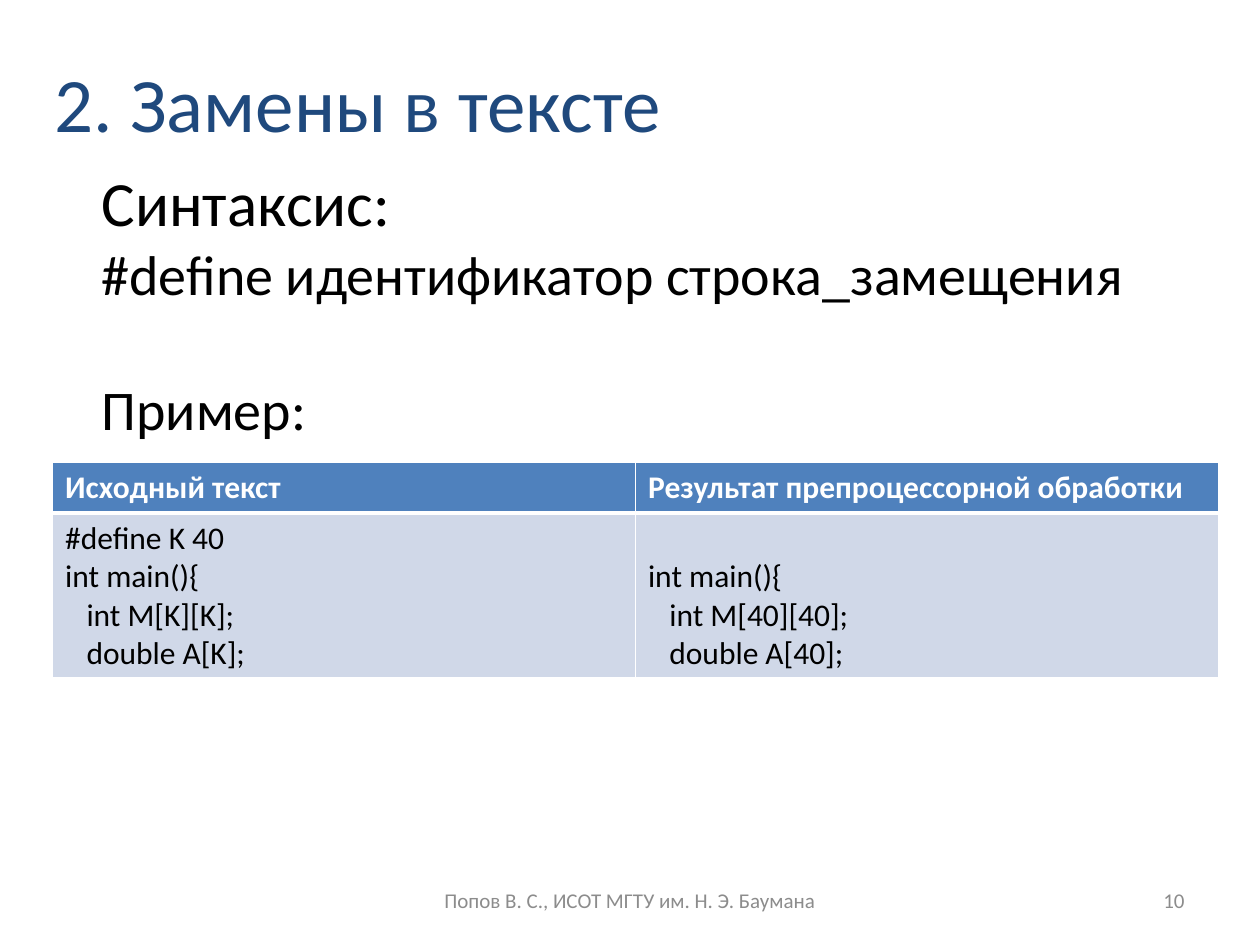
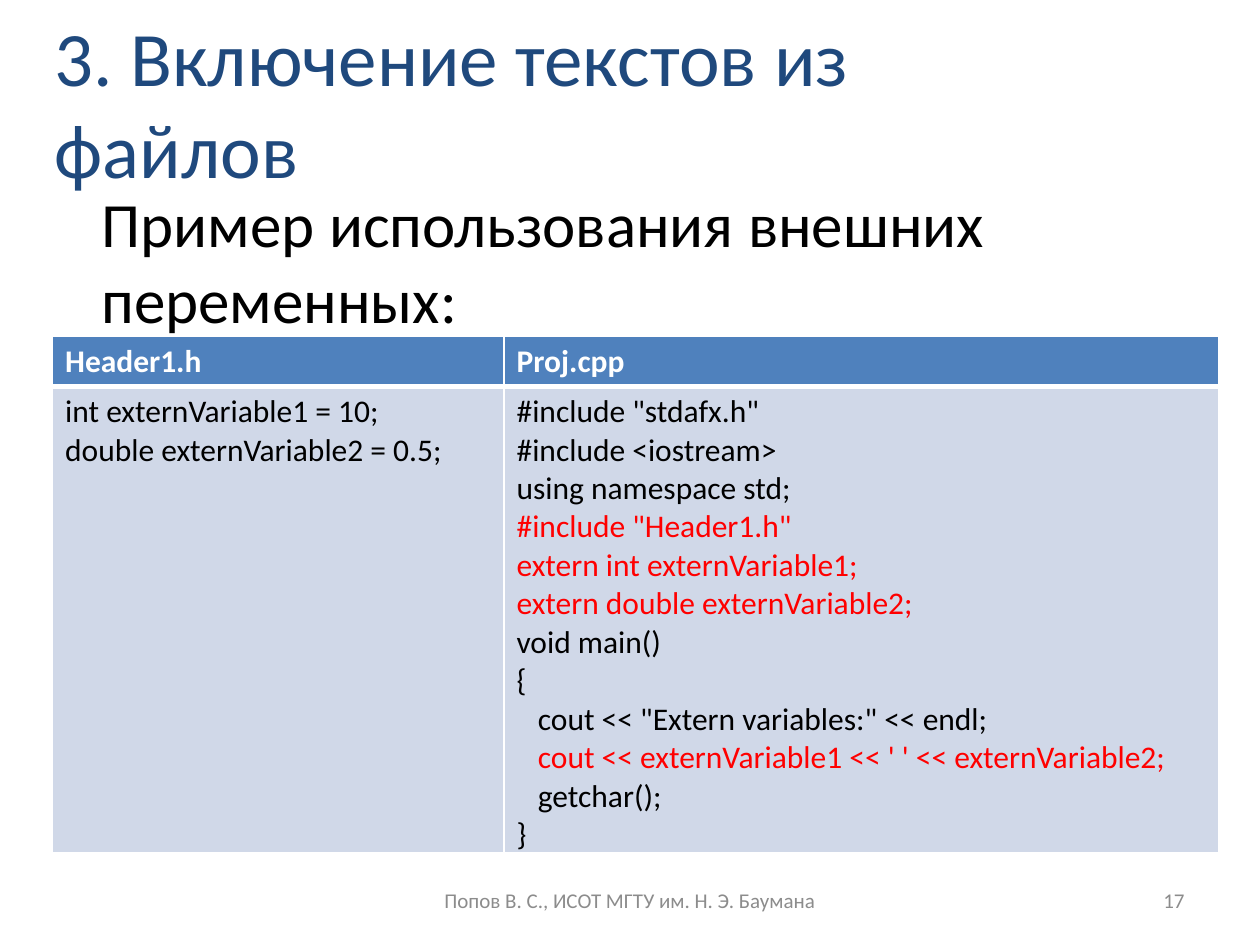
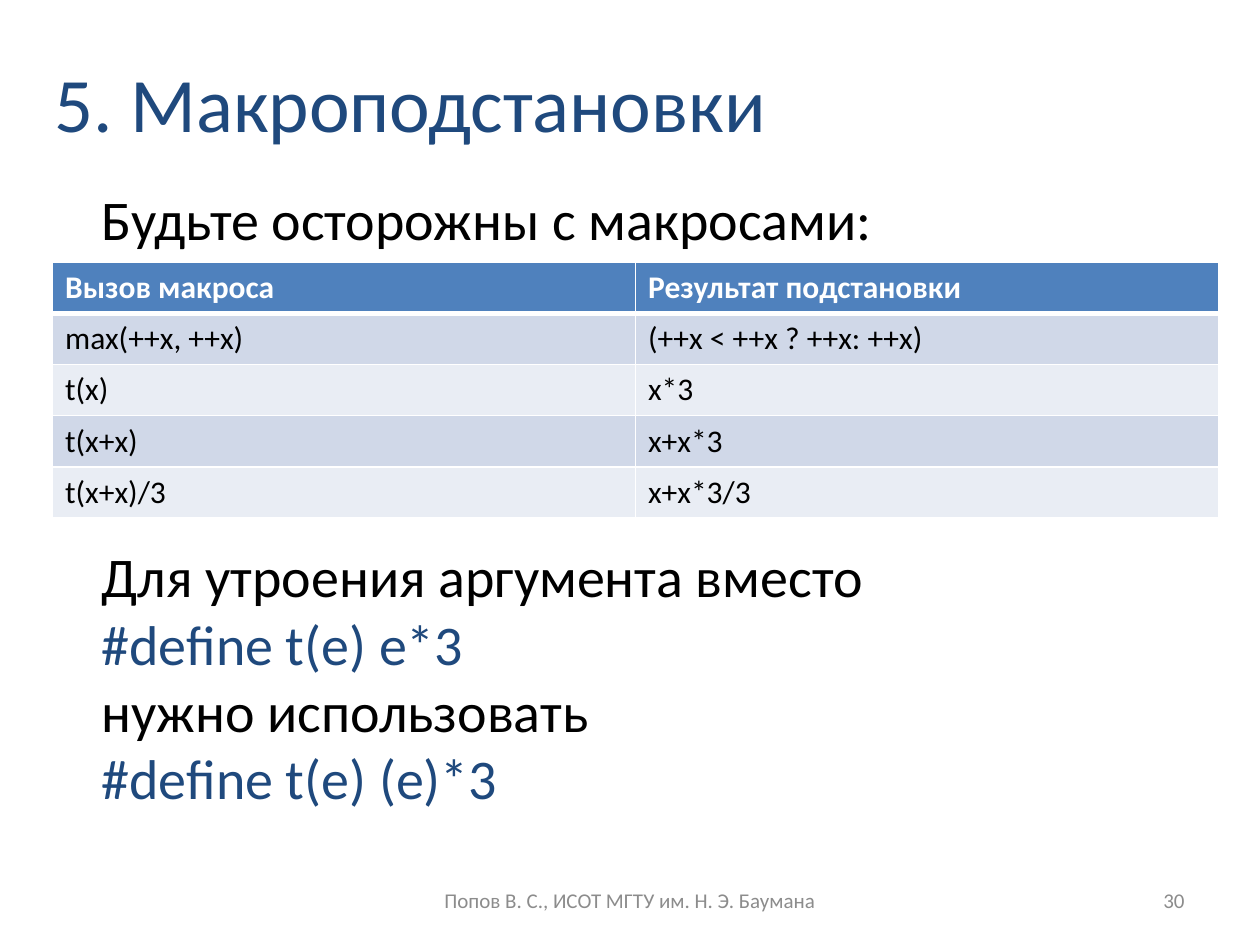
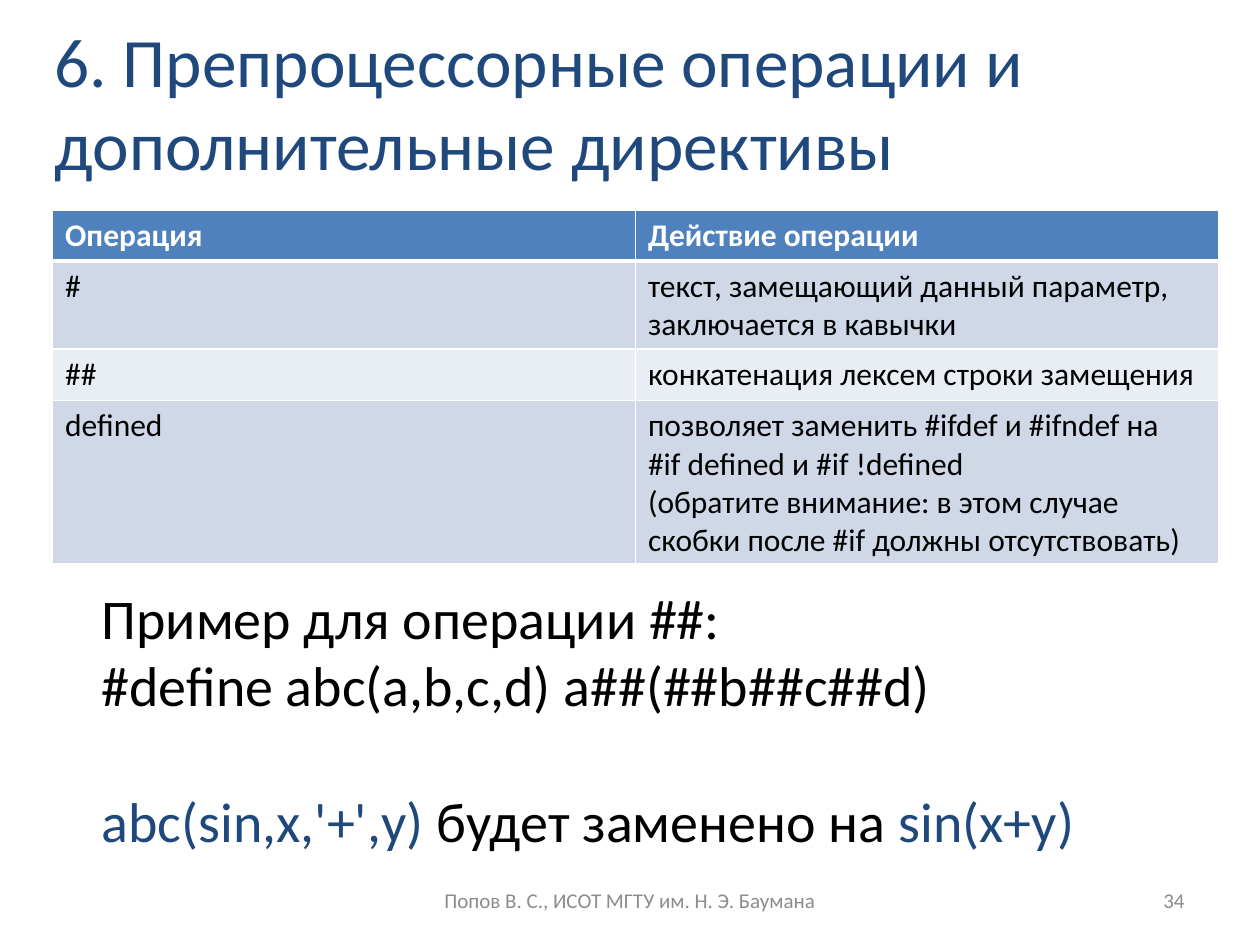
from dataclasses import dataclass
from lxml import etree
from pptx import Presentation
from pptx import util as u
from pptx.dml.color import RGBColor
from pptx.enum import text
from pptx.oxml import ns

COLOURS = {
    "heading": "1F497D", "body": "000000", "footer": "8C8C8C", "accent": "FF0000",
    "header": "4F81BD", "white": "FFFFFF", "odd": "D0D8E8", "even": "E9EDF4",
}
FONT = "Calibri"
FOOTER = "Попов В. С., ИСОТ МГТУ им. Н. Э. Баумана"
TABLE_LEFT, TABLE_WIDTH, ROW_HEIGHT = 1.06, 23.5, 1.03
BODY_INDENT, CODE_INDENT = 0.95, 0.43
TABLE_TEXT = 18
TABLE_LINE = 22


@dataclass
class Line:
    words: str
    colour: str = "body"
    size: float = 32
    indent: float = 0
    before: float = 0


def rgb(name):
    return RGBColor.from_string(COLOURS[name])


def style(font, size, colour, bold=False):
    font.name = FONT
    font.size = u.Pt(size)
    font.bold = bold
    font.color.rgb = rgb(colour)


def write(frame, lines, align=text.PP_ALIGN.LEFT, bold=False):
    for index, line in enumerate(lines):
        para = frame.paragraphs[0] if index == 0 else frame.add_paragraph()
        para.alignment = align
        if line.indent:
            para._p.get_or_add_pPr().set("marL", str(u.Cm(line.indent)))
        if line.before:
            para.space_before = u.Pt(line.before)
        style(para.font, line.size, line.colour, bold)
        if isinstance(line.words, str):
            para.text = line.words
            continue
        for words, colour in line.words:
            span = para.add_run()
            span.text = words
            span.font.color.rgb = rgb(colour)


def add_text(page, left, top, width, height, lines, align=text.PP_ALIGN.LEFT,
             anchor=text.MSO_ANCHOR.TOP):
    box = page.shapes.add_textbox(u.Cm(left), u.Cm(top), u.Cm(width), u.Cm(height))
    box.text_frame.word_wrap = True
    box.text_frame.vertical_anchor = anchor
    write(box.text_frame, lines, align)


def add_body(page, top, height, lines):
    for line in lines:
        line.indent = BODY_INDENT
    add_text(page, 0.85, top, 23.7, height, lines)


def add_page(deck, heading, number, size=44):
    page = deck.slides.add_slide(deck.slide_layouts[5])
    title = page.shapes.title
    title.left, title.top = u.Cm(0.85), u.Cm(0)
    title.width, title.height = u.Cm(20.75), u.Cm(4.09)
    title.text_frame.auto_size = text.MSO_AUTO_SIZE.NONE
    title.text_frame.vertical_anchor = text.MSO_ANCHOR.MIDDLE
    write(title.text_frame, [Line(heading, "heading", size)])
    middle = text.MSO_ANCHOR.MIDDLE
    add_text(page, 18.2, 17.65, 5.93, 1.01, [Line(str(number), "footer", 12)],
             text.PP_ALIGN.RIGHT, middle)
    add_text(page, 8.68, 17.65, 8.04, 1.01, [Line(FOOTER, "footer", 12)],
             text.PP_ALIGN.CENTER, middle)
    return page


def add_borders(cell, top, bottom):
    props = cell._tc.get_or_add_tcPr()
    for side, width in (("L", 1), ("R", 1), ("T", top), ("B", bottom)):
        edge = etree.SubElement(props, ns.qn("a:ln" + side), w=str(u.Pt(width)))
        fill = etree.SubElement(edge, ns.qn("a:solidFill"))
        etree.SubElement(fill, ns.qn("a:srgbClr"), val=COLOURS["white"])


def add_cell(cell, content, row):
    add_borders(cell, 3 if row == 1 else 1, 3 if row == 0 else 1)
    cell.fill.solid()
    cell.fill.fore_color.rgb = rgb("header" if row == 0 else "odd" if row % 2 else "even")
    if isinstance(content, str):
        content = [Line(content, "white" if row == 0 else "body", TABLE_TEXT)]
    write(cell.text_frame, content, bold=row == 0)


def add_table(page, top, height, rows, first_width=TABLE_WIDTH / 2, row_heights=None):
    frame = page.shapes.add_table(len(rows), 2, u.Cm(TABLE_LEFT), u.Cm(top),
                                  u.Cm(TABLE_WIDTH), u.Cm(height))
    table = frame.table
    for column, width in zip(table.columns, (first_width, TABLE_WIDTH - first_width)):
        column.width = u.Cm(width)
    for row, row_height in zip(table.rows, row_heights or [ROW_HEIGHT] * len(rows)):
        row.height = u.Cm(row_height)
    frame.height = u.Cm(height)
    for r, contents in enumerate(rows):
        for c, content in enumerate(contents):
            add_cell(table.cell(r, c), content, r)
    return table


def code(words, indented=False, colour="body"):
    return Line(words, colour, TABLE_TEXT, CODE_INDENT if indented else 0)


def replacement_page(deck):
    page = add_page(deck, "2. Замены в тексте", 10)
    add_body(page, 3.18, 8.64, [
        Line("Синтаксис:", size=36),
        Line("#define идентификатор строка_замещения"),
        Line("Пример:", before=39),
    ])
    table = add_table(page, 9.31, 4.34, [
        ("Исходный текст", "Результат препроцессорной обработки"),
        ([code("#define K 40"), code("int main(){"),
          code("int M[K][K];", True), code("double A[K];", True)],
         [code("int main(){"), code("int M[40][40];", True), code("double A[40];", True)]),
    ])
    table.cell(1, 1).margin_top = u.Cm(0.13) + u.Pt(TABLE_LINE)


def inclusion_page(deck):
    page = add_page(deck, "3. Включение текстов из файлов", 17)
    add_body(page, 3.6, 3.33, [Line("Пример использования внешних переменных:", size=36)])
    program = [
        code('#include "stdafx.h"'),
        code("#include <iostream>"),
        code("using namespace std;"),
        code('#include "Header1.h"', colour="accent"),
        code("extern int externVariable1;", colour="accent"),
        code("extern double externVariable2;", colour="accent"),
        code("void main()"),
        code("{"),
        code('cout << "Extern variables:" << endl;', True),
        code("cout << externVariable1 << ' ' << externVariable2;", True, "accent"),
        code("getchar();", True),
        code("}"),
    ]
    header = [code("int externVariable1 = 10;"), code("double externVariable2 = 0.5;")]
    add_table(page, 6.77, 10.41, [("Header1.h", "Proj.cpp"), (header, program)],
              9.1, (0.64, 8.38))


def macro_page(deck):
    page = add_page(deck, "5. Макроподстановки", 30)
    add_body(page, 3.6, 1.63, [Line("Будьте осторожны с макросами:")])
    add_table(page, 5.29, 5.15, [
        ("Вызов макроса", "Результат подстановки"),
        ("max(++x, ++x)", "(++x < ++x ? ++x: ++x)"),
        ("t(x)", "x*3"),
        ("t(x+x)", "x+x*3"),
        ("t(x+x)/3", "x+x*3/3"),
    ])
    add_body(page, 10.8, 5.74, [
        Line("Для утроения аргумента вместо"),
        Line("#define t(e) e*3", "heading"),
        Line("нужно использовать"),
        Line("#define t(e) (e)*3", "heading"),
    ])


def operation_page(deck):
    page = add_page(deck, "6. Препроцессорные операции и дополнительные директивы", 34, 39.6)
    add_table(page, 4.23, 7.14, [
        ("Операция", "Действие операции"),
        ("#", "текст, замещающий данный параметр, заключается в кавычки"),
        ("##", "конкатенация лексем строки замещения"),
        ("defined", "позволяет заменить #ifdef и #ifndef на\n#if defined и #if !defined\n"
                    "(обратите внимание: в этом случае скобки после #if должны отсутствовать)"),
    ])
    add_body(page, 11.64, 5.74, [
        Line("Пример для операции ##:"),
        Line("#define abc(a,b,c,d) a##(##b##c##d)"),
        Line([("abc(sin,x,'+',y) ", "heading"), ("будет заменено на ", "body"),
              ("sin(x+y)", "heading")], before=39),
    ])


def main():
    deck = Presentation()
    deck.slide_width, deck.slide_height = u.Cm(25.4), u.Cm(19.05)
    replacement_page(deck)
    inclusion_page(deck)
    macro_page(deck)
    operation_page(deck)
    deck.save("out.pptx")


main()
